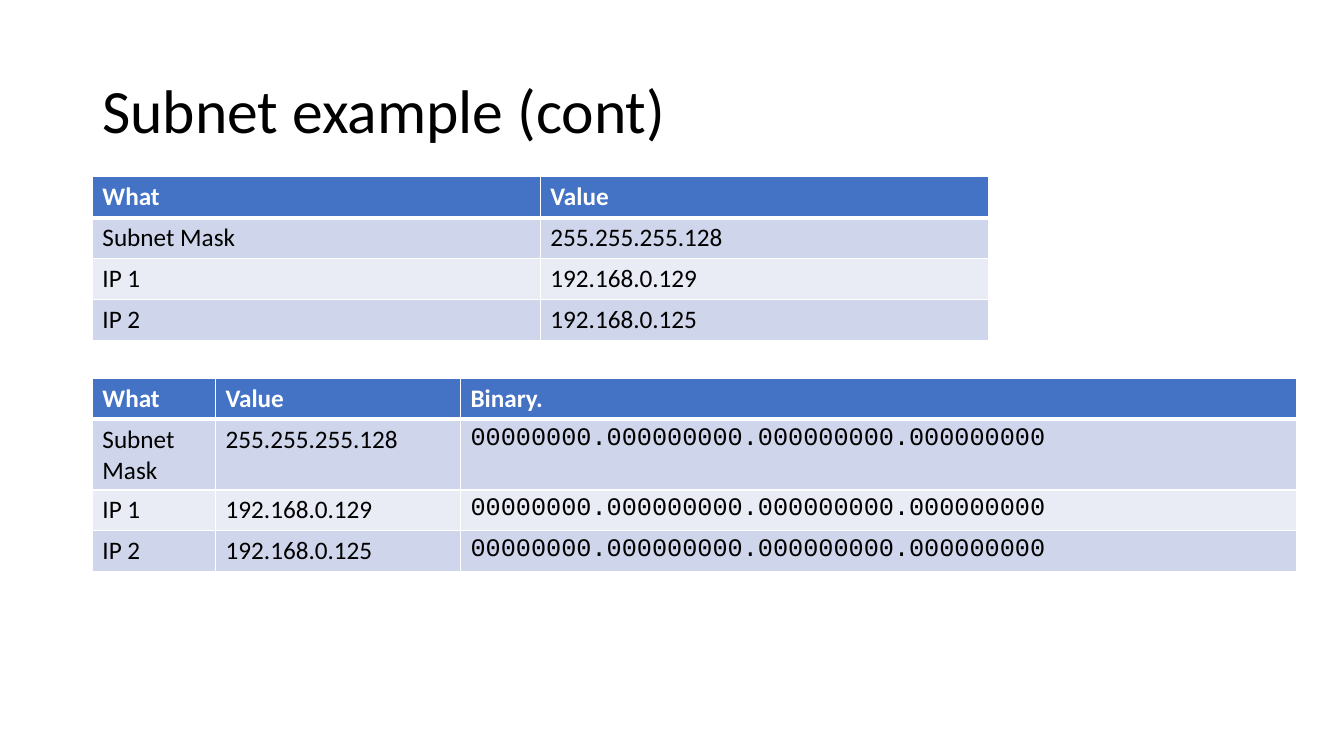
from dataclasses import dataclass

import lxml.etree
import pptx
import pptx.dml.color
import pptx.enum.text
import pptx.oxml.ns
import pptx.slide
import pptx.table
import pptx.text.text
import pptx.util

Pt = pptx.util.Pt
COLORS = {
    "text": "000000",
    "header text": "FFFFFF",
    "header": "4472C4",
    "odd row": "CFD5EA",
    "even row": "E9EBF5",
    "border": "FFFFFF",
}
BODY_FONT = "Calibri"
BINARY_FONT = "Courier New"
LEFT = 66
ROW_HEIGHT = 29.2
THIN, THICK = 1, 3


@dataclass(frozen=True)
class AddressTable:
    top: float
    column_widths: tuple[float, ...]
    rows: tuple[tuple[str, ...], ...]


ADDRESSES = (
    ("What", "Value"),
    ("Subnet Mask", "255.255.255.128"),
    ("IP 1", "192.168.0.129"),
    ("IP 2", "192.168.0.125"),
)
BINARY = "00000000.000000000.000000000.000000000"
WITH_BINARY = tuple(
    row + ("Binary." if index == 0 else BINARY,)
    for index, row in enumerate(ADDRESSES)
)
TABLES = (
    AddressTable(126.3, (320, 320), ADDRESSES),
    AddressTable(270.3, (88, 175, 597), WITH_BINARY),
)


def rgb(name: str) -> pptx.dml.color.RGBColor:
    return pptx.dml.color.RGBColor.from_string(COLORS[name])


def add_run(paragraph: pptx.text.text._Paragraph, text: str, size: float,
            color: str, font: str = BODY_FONT, bold: bool = False) -> None:
    run = paragraph.add_run()
    run.text = text
    run.font.size = Pt(size)
    run.font.name = font
    run.font.bold = bold
    run.font.color.rgb = rgb(color)


def add_borders(cell: pptx.table._Cell, top: float, bottom: float) -> None:
    """Append the four border lines; call before setting the cell's fill."""
    qn = pptx.oxml.ns.qn
    properties = cell._tc.get_or_add_tcPr()
    for side, width in (("L", THIN), ("R", THIN), ("T", top), ("B", bottom)):
        line = lxml.etree.SubElement(properties, qn(f"a:ln{side}"), w=str(Pt(width)))
        fill = lxml.etree.SubElement(line, qn("a:solidFill"))
        lxml.etree.SubElement(fill, qn("a:srgbClr"), val=COLORS["border"])


def fill_cell(cell: pptx.table._Cell, text: str, row: int, column: int) -> None:
    header = row == 0
    add_borders(cell, THICK if row == 1 else THIN, THICK if header else THIN)
    cell.fill.solid()
    cell.fill.fore_color.rgb = rgb(
        "header" if header else "odd row" if row % 2 else "even row")
    add_run(cell.text_frame.paragraphs[0], text, 18,
            color="header text" if header else "text",
            font=BINARY_FONT if column == 2 and not header else BODY_FONT,
            bold=header)


def draw_table(slide: pptx.slide.Slide, content: AddressTable) -> None:
    row_count = len(content.rows)
    table = slide.shapes.add_table(
        row_count, len(content.column_widths), Pt(LEFT), Pt(content.top),
        Pt(sum(content.column_widths)), Pt(ROW_HEIGHT * row_count)).table
    for column, width in zip(table.columns, content.column_widths):
        column.width = Pt(width)
    for row, texts in enumerate(content.rows):
        table.rows[row].height = Pt(ROW_HEIGHT)
        for column, text in enumerate(texts):
            fill_cell(table.cell(row, column), text, row, column)


def draw_title(slide: pptx.slide.Slide, text: str) -> None:
    title = slide.shapes.add_textbox(Pt(LEFT), Pt(28.75), Pt(828), Pt(104.4))
    frame = title.text_frame
    frame.word_wrap = True
    frame.vertical_anchor = pptx.enum.text.MSO_ANCHOR.MIDDLE
    frame.paragraphs[0].line_spacing = 0.9
    add_run(frame.paragraphs[0], text, 44, "text")


def main() -> None:
    presentation = pptx.Presentation()
    presentation.slide_width = Pt(960)
    presentation.slide_height = Pt(540)
    slide = presentation.slides.add_slide(presentation.slide_layouts[6])
    draw_title(slide, "Subnet example (cont)")
    for content in TABLES:
        draw_table(slide, content)
    presentation.save("out.pptx")


if __name__ == "__main__":
    main()
